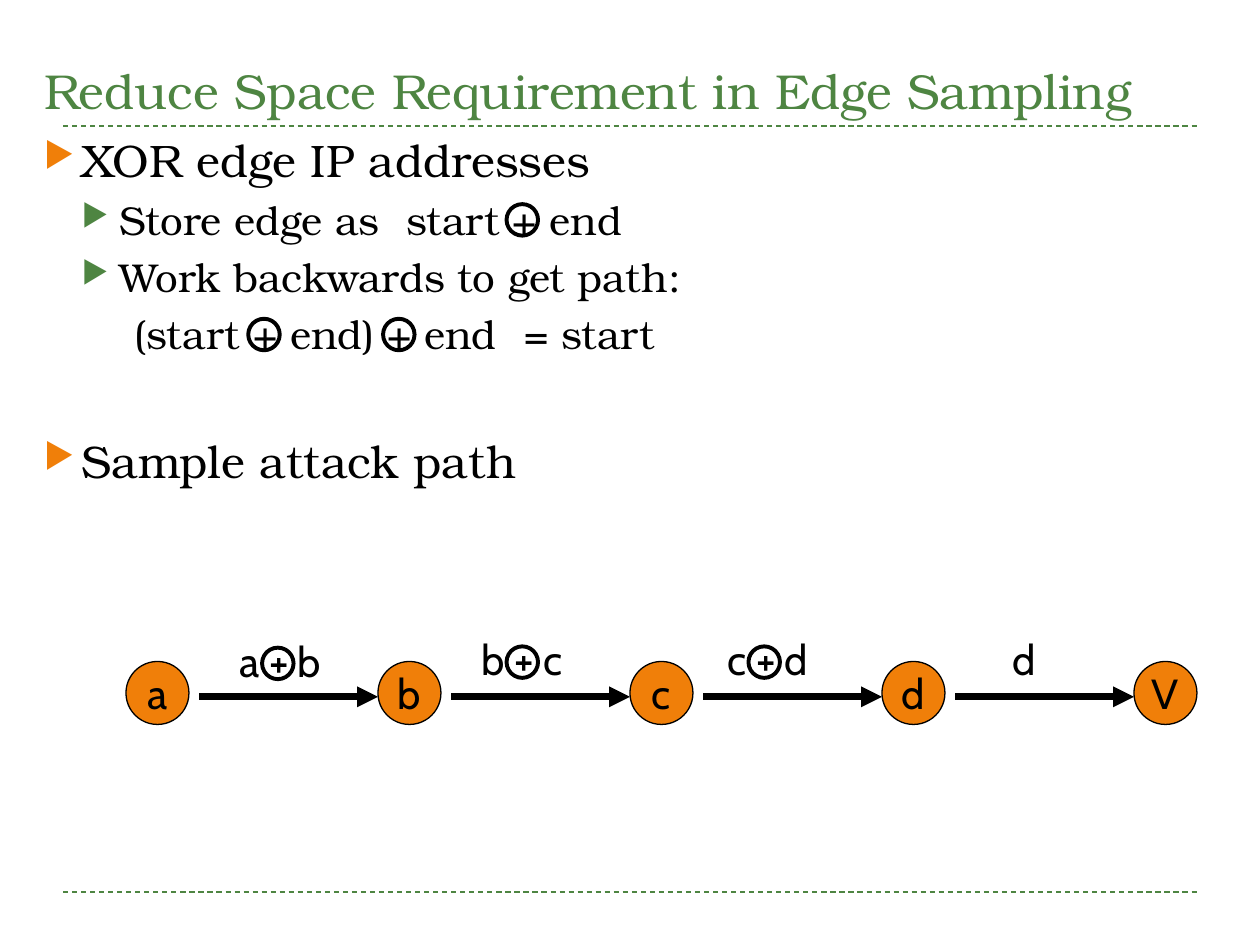
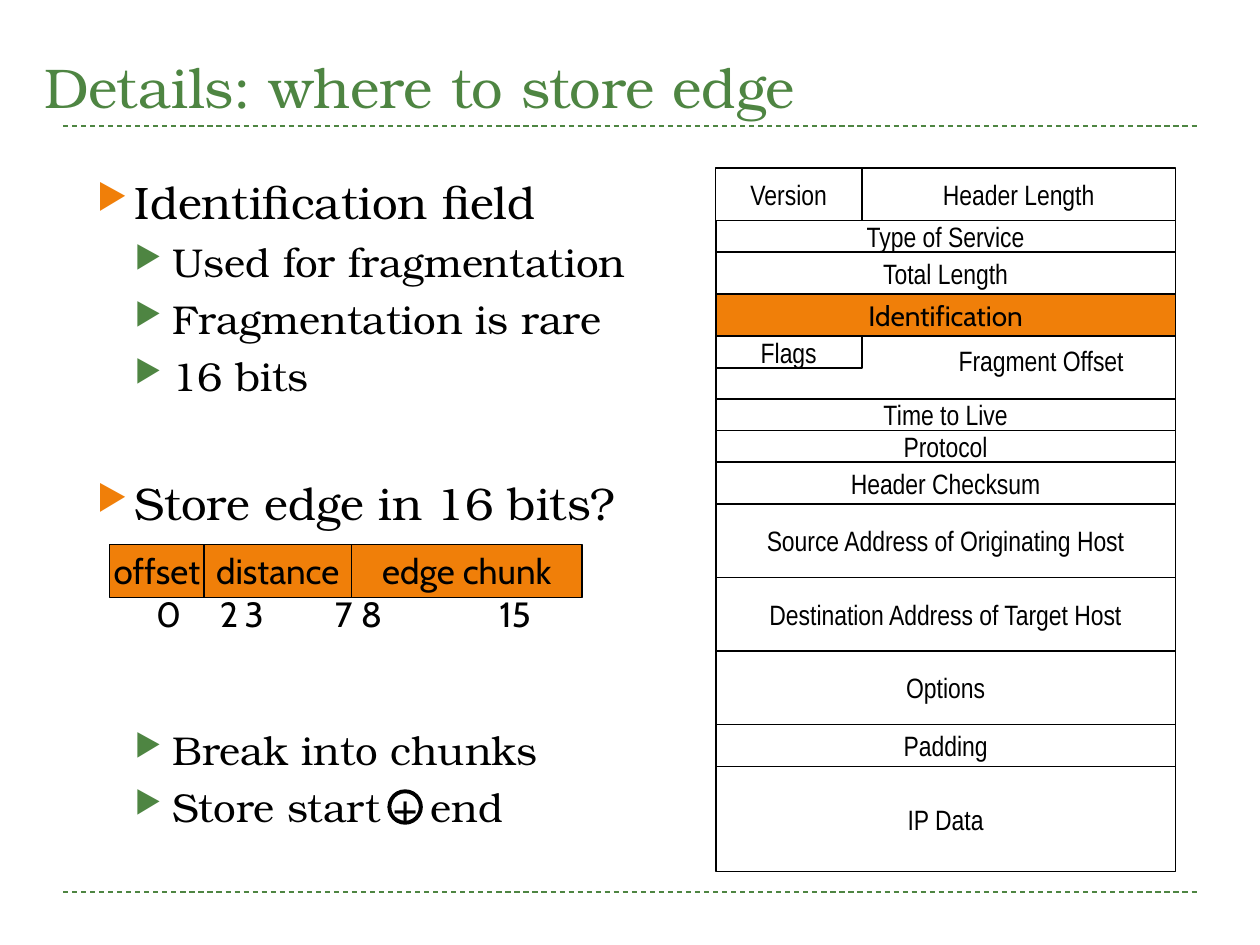
from lxml import etree
from pptx import Presentation
from pptx.dml.color import RGBColor
from pptx.enum.dml import MSO_LINE
from pptx.enum.shapes import MSO_CONNECTOR, MSO_SHAPE
from pptx.enum.text import MSO_ANCHOR, MSO_AUTO_SIZE, PP_ALIGN
from pptx.oxml.ns import qn
from pptx.util import Inches, Pt

GREEN = RGBColor(0x4E, 0x85, 0x42)
ORANGE = RGBColor(0xF0, 0x7F, 0x09)
BLACK = RGBColor(0, 0, 0)

SERIF = "TeX Gyre Bonum"
SANS = "Cabin"
NARROW = "Arial Narrow"

RECTANGLE, OVAL = MSO_SHAPE.RECTANGLE, MSO_SHAPE.OVAL
STRAIGHT = MSO_CONNECTOR.STRAIGHT
DASH = MSO_LINE.DASH
LEFT, CENTER = PP_ALIGN.LEFT, PP_ALIGN.CENTER
TOP, MIDDLE, BOTTOM = MSO_ANCHOR.TOP, MSO_ANCHOR.MIDDLE, MSO_ANCHOR.BOTTOM
NO_AUTOFIT = MSO_AUTO_SIZE.NONE

# Per outline level: size, space before, indent, bullet colour
LEVELS = [(26, 6, 0.3, ORANGE), (23, 5, 0.6, GREEN)]
WIDE_SPACE = 7.8  # points added to one space

HEADER_LEFT, HEADER_TOP, HEADER_WIDTH = 5.68, 16 / 12, 3.65
HEADER_SPLIT = 1.16
# Rows of the IP header: height in twelfths of an inch, label
HEADER_ROWS = [
    (5, ("Version", "Header Length")),
    (3, ("Type of Service",)),
    (4, ("Total Length",)),
    (4, ("Identification",)),
    (6, ("",)),
    (3, ("Time to Live",)),
    (3, ("Protocol",)),
    (4, ("Header Checksum",)),
    (7, ("Source Address of Originating Host",)),
    (7, ("Destination Address of Target Host",)),
    (7, ("Options",)),
    (4, ("Padding",)),
    (10, ("IP Data",)),
]


def style(paragraph, font, size, color=BLACK, align=LEFT):
    paragraph.alignment = align
    paragraph.font.name = font
    paragraph.font.size = Pt(size)
    paragraph.font.color.rgb = color


def add_line(slide, x1, y1, x2, y2, color, width):
    line = slide.shapes.add_connector(
        STRAIGHT, Inches(x1), Inches(y1), Inches(x2), Inches(y2))
    line.line.color.rgb = color
    line.line.width = Pt(width)
    etree.SubElement(line.element.spPr, qn("a:effectLst"))
    return line


def add_arrow(slide, x1, x2, y):
    arrow = add_line(slide, x1, y, x2, y, BLACK, 4)
    etree.SubElement(arrow.line._get_or_add_ln(), qn("a:tailEnd"), type="triangle")


def add_outline(slide, kind, left, top, width, height, line_width, fill=None):
    shape = slide.shapes.add_shape(
        kind, Inches(left), Inches(top), Inches(width), Inches(height))
    shape.shadow.inherit = False
    shape.line.color.rgb = BLACK
    shape.line.width = Pt(line_width)
    if fill is None:
        shape.fill.background()
    else:
        shape.fill.solid()
        shape.fill.fore_color.rgb = fill
    return shape


def add_cell(slide, kind, text, left, top, width, height, font, size,
             line_width=0.75, fill=None):
    """Outlined shape with one centred line of text."""
    cell = add_outline(slide, kind, left, top, width, height, line_width, fill)
    if text:
        frame = cell.text_frame
        frame.word_wrap = False
        frame.vertical_anchor = MIDDLE
        frame.text = text
        style(frame.paragraphs[0], font, size, align=CENTER)


def add_xor_ring(slide, left, top):
    add_outline(slide, OVAL, left, top, 0.25, 0.25, 2.25)


def add_label(slide, text, left, top, width, height, font, size,
              align=LEFT, anchor=TOP):
    box = slide.shapes.add_textbox(
        Inches(left), Inches(top), Inches(width), Inches(height))
    frame = box.text_frame
    frame.word_wrap = False
    frame.vertical_anchor = anchor
    frame.text = text
    para = frame.paragraphs[0]
    style(para, font, size, align=align)
    return para


def set_bullet(para, color):
    properties = para._p.get_or_add_pPr()
    holder = etree.SubElement(properties, qn("a:buClr"))
    etree.SubElement(holder, qn("a:srgbClr"), val=str(color))
    etree.SubElement(properties, qn("a:buSzPct"), val="76000")
    etree.SubElement(properties, qn("a:buChar"), char="▶")


def add_outline_text(slide, left, top, width, height, items):
    """Items are (level, text parts, extra space before, unbulleted indent).

    Text parts are joined by one widened space.
    """
    box = slide.shapes.add_textbox(
        Inches(left), Inches(top), Inches(width), Inches(height))
    frame = box.text_frame
    frame.word_wrap = True
    for index, (level, parts, extra, plain_indent) in enumerate(items):
        para = frame.add_paragraph() if index else frame.paragraphs[0]
        size, before, indent, color = LEVELS[level]
        para.level = level
        properties = para._p.get_or_add_pPr()
        properties.set("marL", str(Inches(plain_indent or indent)))
        properties.set("indent", str(0 if plain_indent else Inches(-0.3)))
        if not plain_indent:
            set_bullet(para, color)
        if index:
            para.space_before = Pt(before + extra)
        for number, part in enumerate(parts):
            if number:
                gap = para.add_run()
                gap.text = " "
                gap.font._element.set("spc", str(round(WIDE_SPACE * 100)))
            para.add_run().text = part
        style(para, SERIF, size)


def add_titled_slide(deck, text, size):
    slide = deck.slides.add_slide(deck.slide_layouts[5])
    title = slide.shapes.title
    title.left, title.top = Inches(0.25), Inches(0.17)
    title.width, title.height = Inches(9.5), Inches(0.83)
    frame = title.text_frame
    frame.text = text
    frame.word_wrap = True
    frame.auto_size = NO_AUTOFIT
    frame.vertical_anchor = BOTTOM
    style(frame.paragraphs[0], SERIF, size, GREEN)
    return slide


def move_rules_to_layout(slide):
    """Draw the dashed rules once, on the layout that all slides share."""
    for y in (7.08, 1):
        rule = add_line(slide, 0.5, y, 9.5, y, GREEN, 0.75)
        rule.line.dash_style = DASH
        slide.slide_layout.shapes.element.append(rule.element)


def add_attack_path(slide):
    nodes = "abcdV"
    for index in range(len(nodes) - 1):
        add_arrow(slide, 1.58 + 2 * index, 3 + 2 * index, 5.53)
    for text, left, top, width in [("a + b", 1.75, 5.04, 0.95),
                                   ("b + c", 3.68, 5.02, 0.93),
                                   ("c + d", 5.63, 5.02, 0.93),
                                   ("d", 7.93, 5.02, 0.4)]:
        para = add_label(slide, text, left, top, width, 0.46, SANS, 24,
                         CENTER, MIDDLE)
        para.line_spacing = 0.9
    for index, node in enumerate(nodes):
        add_cell(slide, OVAL, node, 1 + 2 * index, 5.25, 0.5, 0.5,
                 SANS, 24, fill=ORANGE)
    for left, top in [(2.08, 5.14), (4.02, 5.13), (5.94, 5.13)]:
        add_xor_ring(slide, left, top)


def add_ip_header(slide):
    top = HEADER_TOP
    for twelfths, labels in HEADER_ROWS:
        height = twelfths / 12
        widths = [HEADER_WIDTH]
        if len(labels) == 2:
            widths = [HEADER_SPLIT, HEADER_WIDTH - HEADER_SPLIT]
        left = HEADER_LEFT
        for label, width in zip(labels, widths):
            marked = label == "Identification"
            add_cell(slide, RECTANGLE, label, left, top, width, height,
                     SANS if marked else NARROW, 16, 1,
                     ORANGE if marked else None)
            left += width
        top += height
    add_cell(slide, RECTANGLE, "Flags", HEADER_LEFT, 2.67, HEADER_SPLIT, 0.25,
             NARROW, 16, 1)
    add_label(slide, "Fragment Offset", 7.51, 2.68, 1.75, 0.37, NARROW, 16)


def add_bit_layout(slide):
    left = 0.87
    for name, width in [("offset", 0.75), ("distance", 1.17), ("edge chunk", 1.83)]:
        add_cell(slide, RECTANGLE, name, left, 4.32, width, 0.42,
                 SANS, 20, fill=ORANGE)
        left += width
    para = add_label(slide, "", 1.14, 4.65, 3.37, 0.44, SANS, 20)
    properties = para._p.get_or_add_pPr()
    tabs = etree.Element(qn("a:tabLst"))
    for stop in (0.58, 0.78, 1.49, 1.71, 2.85):
        etree.SubElement(tabs, qn("a:tab"), pos=str(Inches(stop)), algn="ctr")
    properties.insert(0, tabs)
    para.add_run().text = "0\t2\t3\t7\t8\t15"


def build_xor_slide(deck):
    slide = add_titled_slide(deck, "Reduce Space Requirement in Edge Sampling", 28)
    move_rules_to_layout(slide)
    add_outline_text(slide, 0.25, 1, 9.5, 6, [
        (0, ["XOR edge IP addresses"], 0, None),
        (1, ["Store edge as", "start + end"], 0, None),
        (1, ["Work backwards to get path:"], 0, None),
        (1, ["(start + end) + end", "= start"], 0, 0.72),
        (0, ["Sample attack path"], 37.2, None),
    ])
    for left, top in [(4.02, 1.62), (1.97, 2.53), (3.04, 2.53)]:
        add_xor_ring(slide, left, top)
    add_attack_path(slide)


def build_storage_slide(deck):
    slide = add_titled_slide(deck, "Details: where to store edge", 32)
    add_outline_text(slide, 0.67, 1.33, 4.93, 5.42, [
        (0, ["Identification field"], 0, None),
        (1, ["Used for fragmentation"], 0, None),
        (1, ["Fragmentation is rare"], 0, None),
        (1, ["16 bits"], 0, None),
        (0, ["Store edge in 16 bits?"], 37.2, None),
        (1, ["Break into chunks"], 107, None),
        (1, ["Store start + end"], 0, None),
    ])
    add_ip_header(slide)
    add_bit_layout(slide)
    add_xor_ring(slide, 3.09, 6.28)


def main():
    deck = Presentation()
    deck.slide_width, deck.slide_height = Inches(10), Inches(7.5)
    build_xor_slide(deck)
    build_storage_slide(deck)
    deck.save("out.pptx")


if __name__ == "__main__":
    main()
